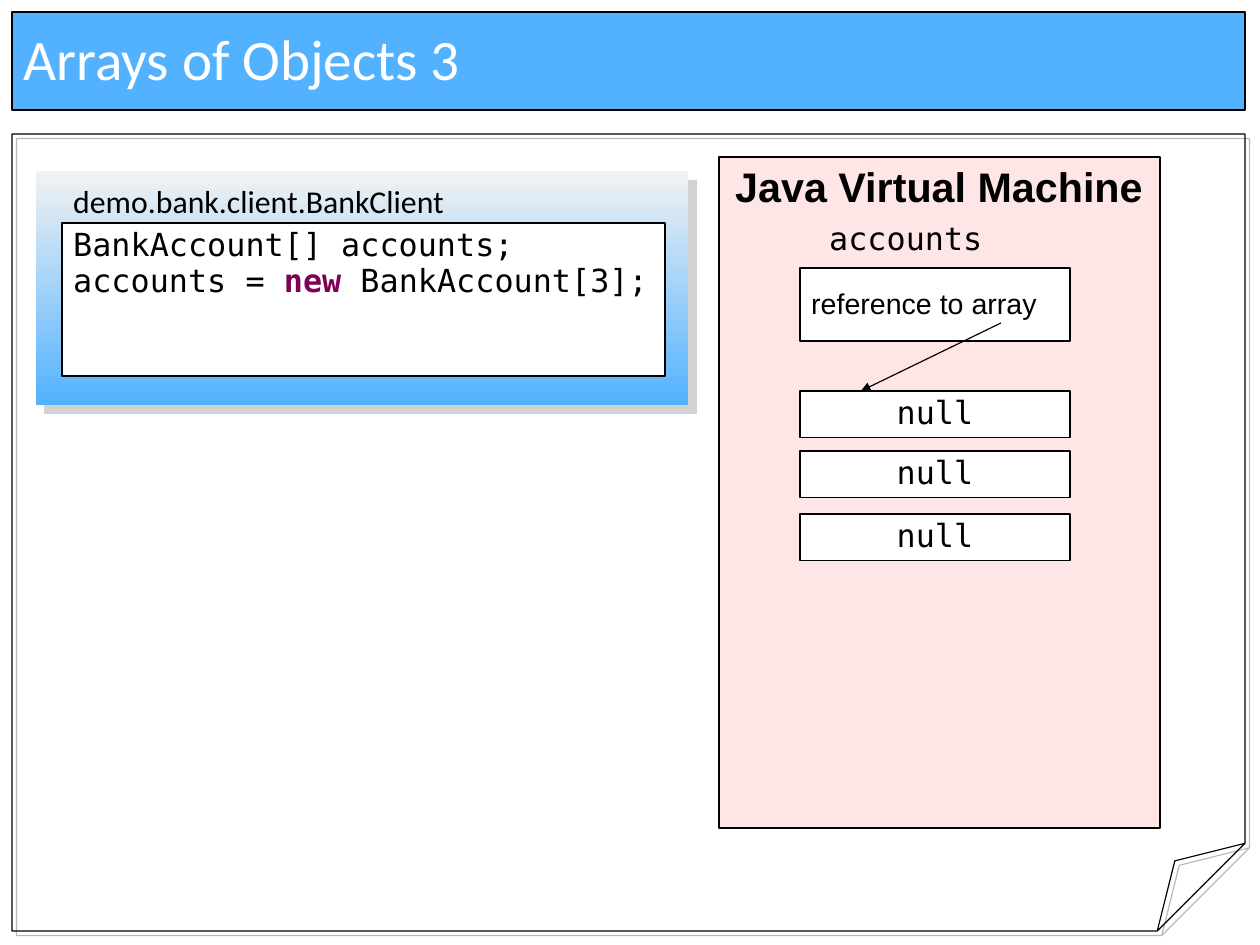
from lxml import etree
from pptx import Presentation
from pptx.dml.color import RGBColor
from pptx.enum.shapes import MSO_CONNECTOR, MSO_SHAPE
from pptx.enum.text import MSO_ANCHOR, MSO_AUTO_SIZE, PP_ALIGN
from pptx.oxml.ns import qn
from pptx.util import Emu, Pt

RECT, FOLDED = MSO_SHAPE.RECTANGLE, MSO_SHAPE.FOLDED_CORNER
STRAIGHT = MSO_CONNECTOR.STRAIGHT
LEFT, CENTER = PP_ALIGN.LEFT, PP_ALIGN.CENTER
TOP, MIDDLE = MSO_ANCHOR.TOP, MSO_ANCHOR.MIDDLE
NO_FIT = MSO_AUTO_SIZE.NONE

BLACK = RGBColor(0x00, 0x00, 0x00)
WHITE = RGBColor(0xFF, 0xFF, 0xFF)
BLUE = RGBColor(0x52, 0xB2, 0xFF)
PINK = RGBColor(0xFF, 0xE6, 0xE6)
PALE = RGBColor(0xF2, 0xF2, 0xF2)
GRAY = RGBColor(0x80, 0x80, 0x80)
KEYWORD = RGBColor(0x7F, 0x00, 0x55)

SANS, TITLE_FONT, MONO = "Arial", "Calibri", "DejaVu Sans Mono"


def px(n):
    return Emu(n * 8000)


def write(sp, *lines, font=MONO, size=20, color=BLACK, bold=False, align=LEFT,
          anchor=TOP, wrap=True, spacing=0.93):
    """Each line is a string or a list of (text, color, bold) runs."""
    tf = sp.text_frame
    tf.word_wrap, tf.auto_size, tf.vertical_anchor = wrap, NO_FIT, anchor
    for i, line in enumerate(lines):
        p = tf.add_paragraph() if i else tf.paragraphs[0]
        p.alignment, p.line_spacing = align, spacing
        runs = [(line, color, bold)] if isinstance(line, str) else line
        for text, run_color, run_bold in runs:
            r = p.add_run()
            r.text = text
            r.font.name, r.font.size, r.font.bold = font, Pt(size), run_bold
            r.font.color.rgb = run_color


class Deck:
    def __init__(self, width, height):
        self.prs = Presentation()
        self.prs.slide_width, self.prs.slide_height = px(width), px(height)
        self.s = self.prs.slides.add_slide(self.prs.slide_layouts[5])

    def outline(self, sp, color=BLACK):
        sp.line.color.rgb = color
        sp.line.width = Pt(0.75)

    def title(self, text, x, y, w, h):
        sp = self.s.shapes.title
        sp.left, sp.top, sp.width, sp.height = map(px, (x, y, w, h))
        sp.fill.solid()
        sp.fill.fore_color.rgb = BLUE
        self.outline(sp)
        write(sp, text, font=TITLE_FONT, size=36, color=WHITE, anchor=MIDDLE)

    def box(self, x, y, w, h, fill=None, line=True, shape=RECT):
        sp = self.s.shapes.add_shape(shape, *map(px, (x, y, w, h)))
        sp.shadow.inherit = False
        if fill is None:
            sp.fill.background()
        else:
            sp.fill.solid()
            sp.fill.fore_color.rgb = fill
        if line:
            self.outline(sp)
        else:
            sp.line.fill.background()
        return sp

    def page(self, x, y, w, h, fold):
        sp = self.box(x, y, w, h, shape=FOLDED)
        guides = sp._element.spPr.find(qn("a:prstGeom")).find(qn("a:avLst"))
        etree.SubElement(guides, qn("a:gd"), name="adj", fmla=f"val {fold}")
        return sp

    def label(self, text, x, y, w, h, **fmt):
        write(self.s.shapes.add_textbox(*map(px, (x, y, w, h))), text, **fmt)

    def gradient(self, sp, *colors):
        sp.fill.gradient()
        sp.fill.gradient_angle = 270
        for i, (stop, color) in enumerate(zip(sp.fill.gradient_stops, colors)):
            stop.position, stop.color.rgb = i, color

    def shadow(self, sp, opacity, distance):
        effects = sp._element.spPr.find(qn("a:effectLst"))
        shadow = etree.SubElement(effects, qn("a:outerShdw"), blurRad="0",
                                  dist=str(int(Pt(distance))), dir="2700000",
                                  algn="tl", rotWithShape="0")
        color = etree.SubElement(shadow, qn("a:srgbClr"), val=str(GRAY))
        etree.SubElement(color, qn("a:alpha"), val=str(opacity * 1000))

    def arrow(self, x1, y1, x2, y2):
        sp = self.s.shapes.add_connector(STRAIGHT, *map(px, (x1, y1, x2, y2)))
        self.outline(sp)
        line = sp._element.spPr.find(qn("a:ln"))
        etree.SubElement(line, qn("a:tailEnd"), type="triangle")
        etree.SubElement(sp._element.spPr, qn("a:effectLst"))


def main():
    deck = Deck(1260, 945)

    # Page frame and title
    deck.shadow(deck.page(12, 134, 1233, 797, fold=11000), 55, 4)
    deck.title("Arrays of Objects 3", 12, 12, 1233, 98)

    # Virtual machine memory
    deck.box(719, 157, 441, 671, PINK)
    deck.label("Java Virtual Machine", 724, 160, 432, 58,
               font=SANS, size=26, bold=True, wrap=False)
    deck.label("accounts", 818, 217, 190, 49)
    reference = deck.box(800, 268, 270, 73, WHITE)
    write(reference, "reference to array", font=SANS, size=18,
          anchor=MIDDLE, wrap=False)
    for y in (391, 451, 514):
        write(deck.box(800, y, 270, 47, WHITE), "null", align=CENTER)
    deck.arrow(1001, 323, 861, 391)

    # Client code
    panel = deck.box(36, 171, 652, 234, line=False)
    deck.gradient(panel, PALE, BLUE)
    deck.shadow(panel, 35, 8)
    write(deck.box(62, 223, 603, 153, WHITE),
          "BankAccount[] accounts;",
          [("accounts = ", BLACK, False), ("new", KEYWORD, True),
           (" BankAccount[3];", BLACK, False)])
    deck.label("demo.bank.client.BankClient", 62, 176, 394, 50,
               font=TITLE_FONT, wrap=False, spacing=1.0)

    deck.prs.save("out.pptx")


if __name__ == "__main__":
    main()
